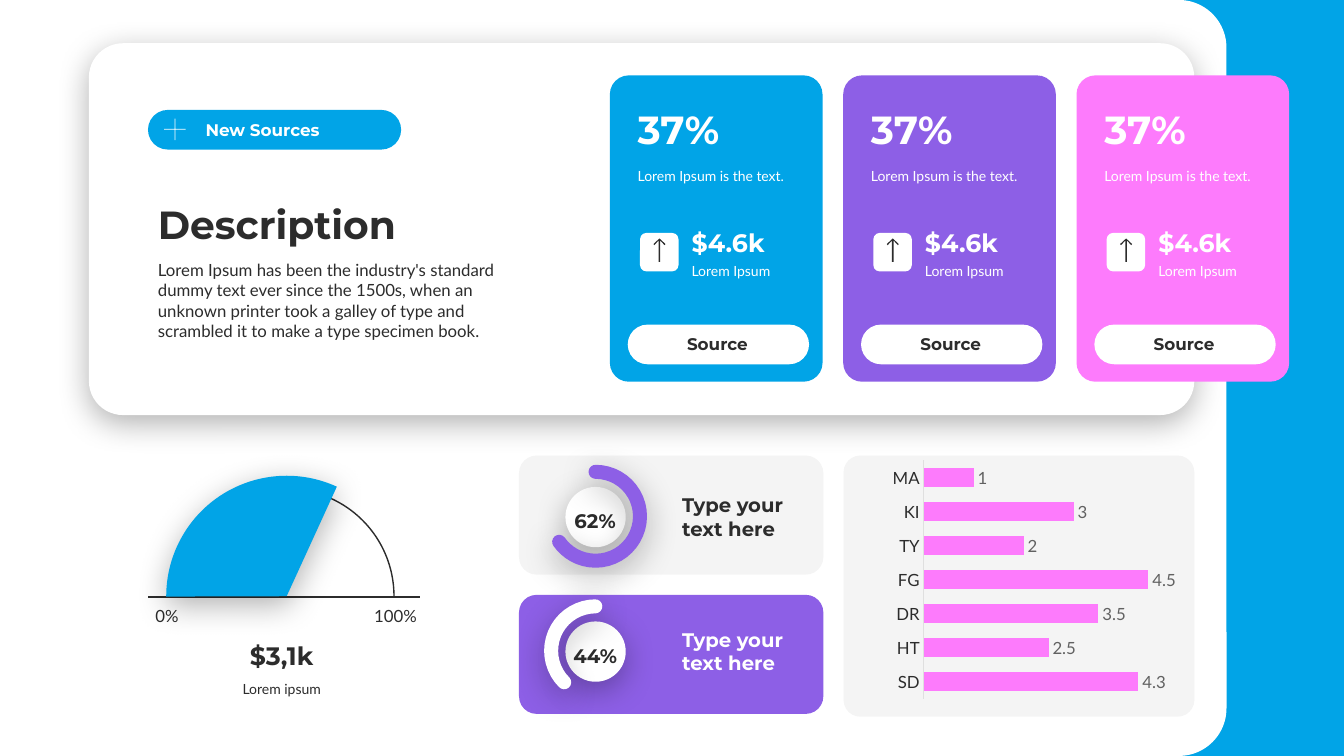
import lxml.etree
import pptx
import pptx.chart.data
import pptx.dml.color
import pptx.enum.chart
import pptx.enum.shapes
import pptx.enum.text
import pptx.oxml.ns
import pptx.util

Cm = pptx.util.Cm
Pt = pptx.util.Pt
Kind = pptx.enum.shapes.MSO_SHAPE
Anchor = pptx.enum.text.MSO_ANCHOR
Align = pptx.enum.text.PP_ALIGN

BLUE, PURPLE, PINK = "01A4E7", "8D5FE6", "FD7BFC"
DARK, WHITE, GREY, PALE = "2C2C2C", "FFFFFF", "616161", "DFDFDF"


def color(value):
    return pptx.dml.color.RGBColor.from_string(value)


def add_xml(parent, tag, **attributes):
    return lxml.etree.SubElement(parent, pptx.oxml.ns.qn(tag), attributes)


def paint(shape, fill=None, line=None, width=1, shadow=False):
    shape.shadow.inherit = False
    if fill:
        shape.fill.solid()
        shape.fill.fore_color.rgb = color(fill)
    else:
        shape.fill.background()
    if line:
        shape.line.color.rgb = color(line)
        shape.line.width = Pt(width)
    else:
        shape.line.fill.background()
    if shadow:
        effects = shape._element.spPr.find(pptx.oxml.ns.qn("a:effectLst"))
        outer = add_xml(effects, "a:outerShdw", blurRad=str(Pt(23)), dist=str(Pt(6)),
                        dir="5400000", algn="t", rotWithShape="0")
        add_xml(add_xml(outer, "a:srgbClr", val="000000"), "a:alpha", val="30000")


def add_shape(slide, kind, box, adjustments=(), **style):
    shape = slide.shapes.add_shape(kind, *map(Cm, box))
    for index, value in enumerate(adjustments):
        shape.adjustments[index] = value
    paint(shape, **style)
    return shape


def add_rounded(slide, box, radius, fill, **style):
    return add_shape(slide, Kind.ROUNDED_RECTANGLE, box, [radius], fill=fill, **style)


def add_tinted(slide, box, radius):
    shape = add_rounded(slide, box, radius, DARK)
    tint = shape._element.spPr.find(".//" + pptx.oxml.ns.qn("a:srgbClr"))
    add_xml(tint, "a:alpha", val="5000")


def add_ring(slide, box, angles, line):
    shape = add_shape(slide, Kind.ARC, box, angles, line=line, width=10, shadow=True)
    shape._element.spPr.find(pptx.oxml.ns.qn("a:ln")).set("cap", "rnd")


def add_outline(slide, points, fill):
    corners = [(Cm(x), Cm(y)) for x, y in points]
    builder = slide.shapes.build_freeform(*corners[0], scale=1.0)
    builder.add_line_segments(corners[1:], close=True)
    paint(builder.convert_to_shape(), fill)


def add_text(slide, box, text, size, ink=DARK, font="Lato", anchor=Anchor.TOP,
             align=Align.LEFT, side=0.25, edge=0.13, wrap=True, after=0):
    shape = slide.shapes.add_textbox(*map(Cm, box))
    frame = shape.text_frame
    frame.word_wrap = wrap
    frame.auto_size = pptx.enum.text.MSO_AUTO_SIZE.SHAPE_TO_FIT_TEXT
    frame.vertical_anchor = anchor
    frame.margin_left = frame.margin_right = Cm(side)
    frame.margin_top = frame.margin_bottom = Cm(edge)
    paragraph = frame.paragraphs[0]
    paragraph.alignment = align
    paragraph.space_after = Pt(after)
    run = paragraph.add_run()
    run.text = text
    run.font.size = Pt(size)
    run.font.name = font
    run.font.bold = font == "Montserrat"
    run.font.color.rgb = color(ink)


def add_heading(slide, box, text, size, ink=DARK, anchor=Anchor.BOTTOM, **style):
    add_text(slide, box, text, size, ink, "Montserrat", anchor, **style)


def add_card(slide, left, fill):
    inner = left + 0.45
    add_rounded(slide, (left, 1.9, 5.36, 7.72), 0.089, fill)
    add_text(slide, (inner, 4.1, 4.67, 0.69), "Lorem Ipsum is the text.", 10, WHITE)
    add_heading(slide, (inner, 2.51, 4.78, 1.45), "37%", 28, WHITE)
    add_rounded(slide, (left + 0.76, 5.87, 0.97, 0.97), 0.167, WHITE)
    half_arrow = [(0.02, 6.6), (0.02, 6.06), (0.13, 6.18), (0.15, 6.15), (0, 6.01)]
    center = left + 1.25
    right_side = [(center + x, y) for x, y in half_arrow]
    left_side = [(center - x, y) for x, y in reversed(half_arrow[:-1])]
    add_outline(slide, right_side + left_side, DARK)
    add_text(slide, (left + 2.06, 6.49, 2.64, 0.69), "Lorem Ipsum", 10, WHITE, side=0)
    add_heading(slide, (left + 2.06, 5.59, 2.64, 1.02), "$4.6k", 18, WHITE, side=0)
    add_rounded(slide, (inner, 8.18, 4.57, 1), 0.5, WHITE)
    add_heading(slide, (inner, 8.29, 4.52, 0.76), "Source", 12,
                anchor=Anchor.MIDDLE, align=Align.CENTER)


def add_description(slide):
    add_rounded(slide, (3.73, 2.77, 6.38, 1), 0.5, BLUE)
    add_heading(slide, (4.93, 2.9, 5.13, 0.76), "New Sources", 12, WHITE, Anchor.MIDDLE)
    x, y, arm, half = 4.41, 3.26, 0.27, 0.01
    quarter = [(half, -arm), (half, -half), (arm, -half)]
    plus = []
    for turn in range(4):
        plus += [(x + across, y + down) for across, down in quarter]
        quarter = [(-down, across) for across, down in quarter]
    add_outline(slide, plus, WHITE)
    add_text(slide, (3.73, 6.42, 9.35, 2.31),
             "Lorem Ipsum has been the industry's standard dummy text ever since the 1500s, "
             "when an unknown printer took a galley of type and scrambled it to make a type "
             "specimen book.", 12)
    add_heading(slide, (3.73, 4.91, 9.35, 1.45), "Description", 28)


def add_gauge(slide):
    add_shape(slide, Kind.ARC, (4.52, 12.32, 5.41, 5.41), (107.89, 0), line=DARK)
    baseline = slide.shapes.add_connector(pptx.enum.shapes.MSO_CONNECTOR.STRAIGHT,
                                          Cm(3.73), Cm(15.04), Cm(10.59), Cm(15.04))
    baseline.line.color.rgb = color(DARK)
    baseline.line.width = Pt(1)
    add_xml(baseline._element.spPr, "a:effectLst")
    for center, text in ((4.21, "0%"), (9.97, "100%")):
        add_text(slide, (center - 0.7, 15.27, 1.4, 0.51), text, 12, anchor=Anchor.MIDDLE,
                 align=Align.CENTER, side=0, edge=0, wrap=False)
    add_shape(slide, Kind.ARC, (4.19, 11.99, 6.07, 6.07), (107.89, 176.77),
              fill=BLUE, shadow=True)
    add_text(slide, (4.04, 17.03, 6.12, 0.69), "Lorem ipsum", 10,
             align=Align.CENTER, after=6)
    add_heading(slide, (4.04, 16, 6.12, 1.02), "$3,1k", 18, align=Align.CENTER,
                side=0.2, after=6)


def add_progress(slide, down, percent, angles, line, ink):
    add_shape(slide, Kind.OVAL, (14.25, 12.27 + down, 1.52, 1.52), fill=WHITE, shadow=True)
    add_heading(slide, (14.15, 12.69 + down, 1.7, 0.86), percent, 14, align=Align.CENTER)
    add_ring(slide, (13.89, 11.89 + down, 2.24, 2.24), angles, line)
    add_heading(slide, (16.94, 12.29 + down, 3.3, 1.45), "Type your text here", 14, ink,
                Anchor.MIDDLE)


def set_font(font, size, ink):
    font.name = "Lato"
    font.size = Pt(size)
    font.color.rgb = color(ink)


def add_bars(slide):
    data = pptx.chart.data.CategoryChartData()
    data.categories = ["SD", "HT", "DR", "FG", "TY", "KI", "MA"]
    data.add_series("Series 1", [4.3, 2.5, 3.5, 4.5, 2, 3, 1])
    chart = slide.shapes.add_chart(pptx.enum.chart.XL_CHART_TYPE.BAR_CLUSTERED,
                                   *map(Cm, (22.35, 11.48, 7.37, 6.25)), data).chart
    chart.has_legend = False
    chart.has_title = False
    set_font(chart.font, 10, DARK)
    categories, values = chart.category_axis, chart.value_axis
    set_font(categories.tick_labels.font, 12, DARK)
    categories.major_tick_mark = pptx.enum.chart.XL_TICK_MARK.NONE
    categories.format.line.color.rgb = color(PALE)
    categories.format.line.width = Pt(0.75)
    values.visible = False
    values.has_major_gridlines = False
    values.minimum_scale, values.maximum_scale = 0, 5
    plot = chart.plots[0]
    plot.gap_width = 75
    plot.vary_by_categories = False
    series = plot.series[0]
    series.format.fill.solid()
    series.format.fill.fore_color.rgb = color(PINK)
    labels = series.data_labels
    labels.show_value = True
    labels.position = pptx.enum.chart.XL_LABEL_POSITION.OUTSIDE_END
    set_font(labels.font, 12, GREY)


def main():
    presentation = pptx.Presentation()
    presentation.slide_width, presentation.slide_height = Cm(33.87), Cm(19.05)
    slide = presentation.slides.add_slide(presentation.slide_layouts[6])
    add_shape(slide, Kind.RECTANGLE, (27.53, 0, 6.34, 19.05), fill=BLUE)
    add_rounded(slide, (0, 0, 30.91, 19.05), 0.063, WHITE)
    add_tinted(slide, (13.08, 11.48, 7.67, 3), 0.148)
    add_rounded(slide, (2.24, 1.09, 27.86, 9.37), 0.092, WHITE, shadow=True)
    for index, fill in enumerate((BLUE, PURPLE, PINK)):
        add_card(slide, 15.37 + 5.88 * index, fill)
    add_description(slide)
    add_gauge(slide)
    add_progress(slide, 0, "62%", (162, 86.95), PURPLE, DARK)
    add_rounded(slide, (13.08, 14.99, 7.67, 3), 0.148, PURPLE)
    add_progress(slide, 3.39, "44%", (80.95, 161.79), WHITE, WHITE)
    add_tinted(slide, (21.26, 11.48, 8.84, 6.58), 0.064)
    add_bars(slide)
    presentation.save("out.pptx")


if __name__ == "__main__":
    main()
